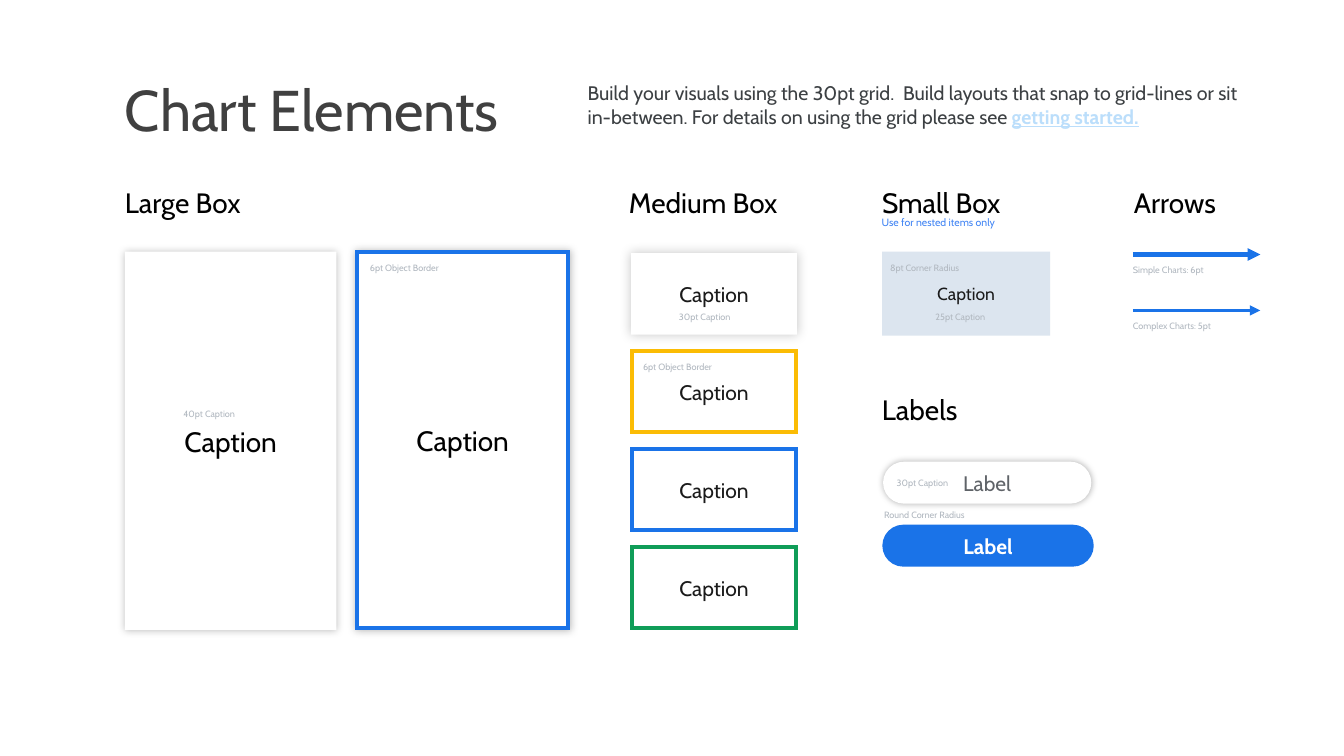
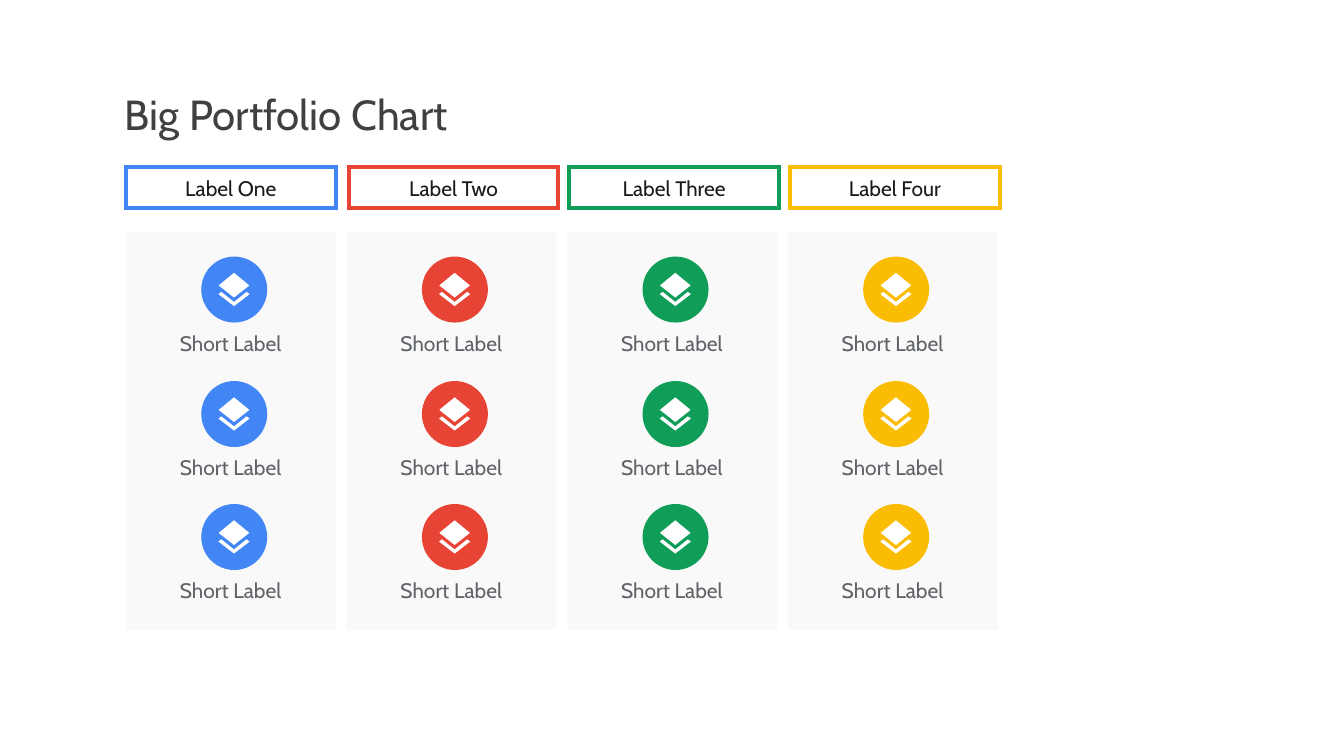
from dataclasses import dataclass
from typing import Optional

from lxml.etree import SubElement
from pptx import Presentation
from pptx.dml.color import RGBColor
from pptx.enum.shapes import MSO_CONNECTOR, MSO_SHAPE
from pptx.enum.text import MSO_ANCHOR, MSO_AUTO_SIZE, PP_ALIGN
from pptx.oxml.ns import qn
from pptx.util import Pt

FONT = "Cabin"
WHITE, BLACK, INK = "FFFFFF", "000000", "1A1A1A"
TITLE_GREY, BODY_GREY, LABEL_GREY, NOTE_GREY = "404040", "3C4043", "5F6368", "B1B8C0"
BLUE, LIGHT_BLUE, RED, GREEN, YELLOW = "1A73E8", "4285F4", "E84435", "0F9D58", "FBBC04"
SMALL_FILL, PANEL_FILL, LINK = "DCE5EF", "F9F9F9", "BBDEFB"
LEFT = 178.5


@dataclass
class Run:
    text: str
    size: float
    color: str = BLACK
    bold: bool = False
    underline: bool = False


@dataclass
class Shadow:
    opacity: int
    blur: float


@dataclass
class Box:
    x: float
    y: float
    w: float
    h: float
    fill: str = WHITE
    border: Optional[str] = None
    shadow: Optional[Shadow] = None
    radius: float = 0
    caption: Optional[Run] = None


@dataclass
class Label:
    x: float
    y: float
    w: float
    h: float
    run: Run


@dataclass
class Arrow:
    y: float
    weight: float


def heading(text: str, x: float, w: float, y: float = 261.5) -> Label:
    return Label(x, y, w, 51, Run(text, 40))


def note(text: str, x: float, y: float, w: float) -> Label:
    return Label(x, y, w, 17.3, Run(text, 13, NOTE_GREY))


def rgb(color: str) -> RGBColor:
    return RGBColor.from_string(color)


def write(sp, runs: list[Run], align=PP_ALIGN.LEFT, anchor=MSO_ANCHOR.BOTTOM) -> None:
    tf = sp.text_frame
    tf.word_wrap = True
    tf.auto_size = MSO_AUTO_SIZE.NONE
    tf.margin_left = tf.margin_right = tf.margin_top = tf.margin_bottom = 0
    tf.vertical_anchor = anchor
    p = tf.paragraphs[0]
    p.alignment = align
    for run in runs:
        r = p.add_run()
        r.text = run.text
        r.font.name = FONT
        r.font.size = Pt(run.size)
        r.font.bold = run.bold
        r.font.underline = run.underline
        r.font.color.rgb = rgb(run.color)


def add_text(s, x: float, y: float, w: float, h: float, runs: list[Run], **layout) -> None:
    sp = s.shapes.add_textbox(Pt(x), Pt(y), Pt(w), Pt(h))
    write(sp, runs, **layout)


def add_label(s, label: Label) -> None:
    add_text(s, label.x, label.y, label.w, label.h, [label.run])


def paint(sp, fill: str) -> None:
    """Flat fill without outline or shadow."""
    sp.fill.solid()
    sp.fill.fore_color.rgb = rgb(fill)
    sp.line.fill.background()
    sp.shadow.inherit = False


def add_shadow(sp, shadow: Shadow) -> None:
    effects = sp.element.spPr.find(qn("a:effectLst"))
    outer = SubElement(effects, qn("a:outerShdw"), blurRad=str(Pt(shadow.blur)),
                       dist="0", dir="0", algn="ctr", rotWithShape="0")
    color = SubElement(outer, qn("a:srgbClr"), val=BLACK)
    SubElement(color, qn("a:alpha"), val=str(shadow.opacity * 1000))


def add_box(s, box: Box) -> None:
    sp = s.shapes.add_shape(MSO_SHAPE.ROUNDED_RECTANGLE,
                            Pt(box.x), Pt(box.y), Pt(box.w), Pt(box.h))
    sp.adjustments[0] = box.radius
    paint(sp, box.fill)
    if box.border:
        sp.line.color.rgb = rgb(box.border)
        sp.line.width = Pt(6)
        SubElement(sp.element.spPr.find(qn("a:ln")), qn("a:miter"), lim="800000")
    if box.shadow:
        add_shadow(sp, box.shadow)
    if box.caption:
        write(sp, [box.caption], PP_ALIGN.CENTER, MSO_ANCHOR.MIDDLE)


def add_arrow(s, arrow: Arrow) -> None:
    cx = s.shapes.add_connector(MSO_CONNECTOR.STRAIGHT, Pt(1618.5), Pt(arrow.y),
                                Pt(1800.5), Pt(arrow.y))
    cx.line.color.rgb = rgb(BLUE)
    cx.line.width = Pt(arrow.weight)
    spPr = cx.element.spPr
    SubElement(spPr.find(qn("a:ln")), qn("a:tailEnd"), type="triangle")
    SubElement(spPr, qn("a:effectLst"))


def add_slide(prs, title: str, size: float, y: float, w: float, h: float):
    s = prs.slides.add_slide(prs.slide_layouts[5])
    sp = s.shapes.title
    sp.left, sp.top, sp.width, sp.height = Pt(LEFT), Pt(y), Pt(w), Pt(h)
    write(sp, [Run(title, size, TITLE_GREY)])
    return s


LARGE, MEDIUM = Run("Caption", 40), Run("Caption", 30, INK)
BOXES = [
    Box(LEFT, 359.5, 302, 540.5, shadow=Shadow(25, 12), caption=LARGE),
    Box(510, 359.5, 302, 538, border=BLUE, shadow=Shadow(25, 12), caption=LARGE),
    Box(901.5, 361.5, 237, 116.5, shadow=Shadow(22, 16), caption=MEDIUM),
    *(Box(903, 502 + 140 * i, 234, 115, border=color, caption=MEDIUM)
      for i, color in enumerate([YELLOW, BLUE, GREEN])),
    Box(1260, 359.5, 240, 120, SMALL_FILL, caption=Run("Caption", 25, INK)),
    Box(1260.5, 749.5, 302, 60, BLUE, radius=0.5,
        caption=Run("Label", 30, WHITE, bold=True)),
    Box(1261.5, 659.5, 297.5, 60, shadow=Shadow(30, 10), radius=0.5,
        caption=Run("Label", 30, LABEL_GREY)),
]
LABELS = [
    heading("Large Box", LEFT, 179),
    heading("Medium Box", 898.5, 225),
    heading("Small Box", 1260, 173),
    heading("Labels", 1260, 117, y=558),
    heading("Arrows", 1620, 130),
    Label(1259.5, 307.5, 177, 18.7, Run("Use for nested items only", 15, LIGHT_BLUE)),
    note("40pt Caption", 262, 581.8, 81),
    note("6pt Object Border", 528.5, 373.7, 117.5),
    note("6pt Object Border", 918.7, 514.8, 117.5),
    note("8pt Corner Radius", 1271.5, 373.7, 110),
    note("30pt Caption", 970, 443.5, 80),
    note("25pt Caption", 1336.3, 443.5, 80),
    note("Round Corner Radius", 1263, 725.8, 128),
    note("30pt Caption", 1281, 681, 80),
    note("Simple Charts: 6pt", 1618.5, 375.8, 112.5),
    note("Complex Charts: 5pt", 1618.5, 455.8, 125.5),
]
ARROWS = [Arrow(363.6, 6), Arrow(443.5, 5)]


def chart_elements(prs) -> None:
    s = add_slide(prs, "Chart Elements", 82, 101, 570, 103.5)
    add_text(s, 839.5, 116, 942, 72, [
        Run("Build your visuals using the 30pt grid.  Build layouts that snap to "
            "grid-lines or sit in-between. For details on using the grid please see ",
            28, BODY_GREY),
        Run("getting started.", 28, LINK, bold=True, underline=True),
    ], anchor=MSO_ANCHOR.TOP)
    for box in BOXES:
        add_box(s, box)
    for label in LABELS:
        add_label(s, label)
    for arrow in ARROWS:
        add_arrow(s, arrow)


COLUMNS = [("Label One", LIGHT_BLUE), ("Label Two", RED),
           ("Label Three", GREEN), ("Label Four", YELLOW)]
COLUMN_X, COLUMN_STEP, COLUMN_W = 180, 315.2, 299.5
ROW_TOPS = [366.5, 544.3, 720]
DISC = 94.3
CHEVRON = [(22.3, 41.6), (40.2, 27.2), (44.6, 30.4), (22.3, 47.5), (0, 30.4), (4.2, 27.2)]
DIAMOND = [(22.3, 0), (44.2, 18), (22.3, 35.3), (0.4, 18)]


def add_layers_icon(s, x: float, y: float) -> None:
    chevron, diamond = ([(Pt(x + dx), Pt(y + dy)) for dx, dy in outline]
                        for outline in (CHEVRON, DIAMOND))
    fb = s.shapes.build_freeform(*chevron[0])
    fb.add_line_segments(chevron[1:])
    fb.move_to(*diamond[0])
    fb.add_line_segments(diamond[1:])
    paint(fb.convert_to_shape(), WHITE)


def add_item(s, x: float, y: float, color: str) -> None:
    """Disc with icon and the label below, in a column that starts at x."""
    disc = s.shapes.add_shape(MSO_SHAPE.OVAL, Pt(x + 107.5), Pt(y), Pt(DISC), Pt(DISC))
    paint(disc, color)
    add_layers_icon(s, x + 132, y + 23.3)
    add_text(s, x + 72.7, y + 105.3, 153.5, 38, [Run("Short Label", 30, LABEL_GREY)],
             align=PP_ALIGN.CENTER, anchor=MSO_ANCHOR.TOP)


def big_portfolio_chart(prs) -> None:
    s = add_slide(prs, "Big Portfolio Chart", 60, 122.5, 498, 76.3)
    for i, (name, color) in enumerate(COLUMNS):
        x = COLUMN_X + i * COLUMN_STEP
        header_x = x + 3 if i else x
        add_box(s, Box(x, 330.5, COLUMN_W, 569.5, PANEL_FILL))
        add_box(s, Box(header_x, 239, COLUMN_W, 58.3, border=color,
                       caption=Run(name, 30, INK)))
        for y in ROW_TOPS:
            add_item(s, x, y, color)


def main() -> None:
    prs = Presentation()
    prs.slide_width, prs.slide_height = Pt(1920), Pt(1080)
    chart_elements(prs)
    big_portfolio_chart(prs)
    prs.save("out.pptx")


if __name__ == "__main__":
    main()
